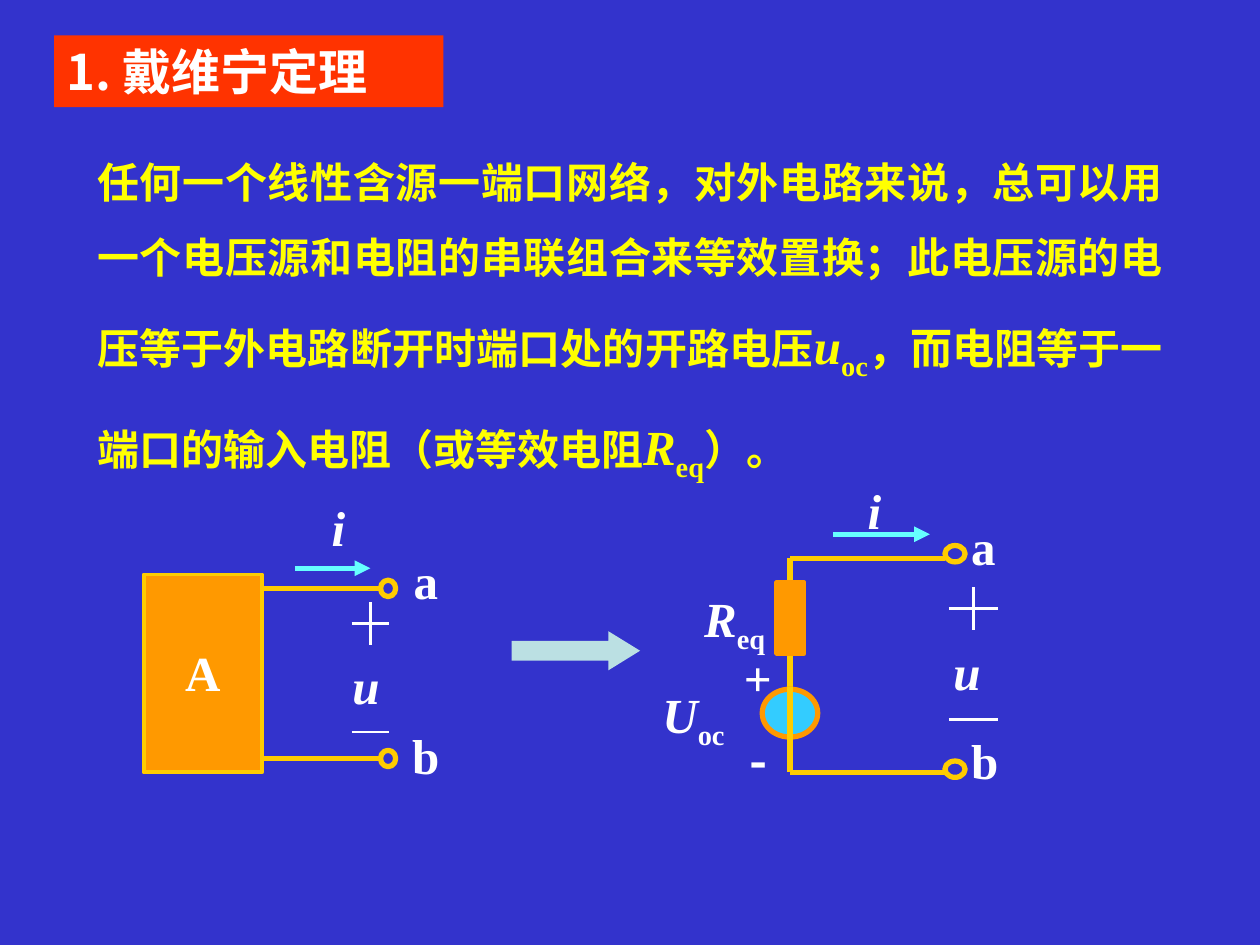
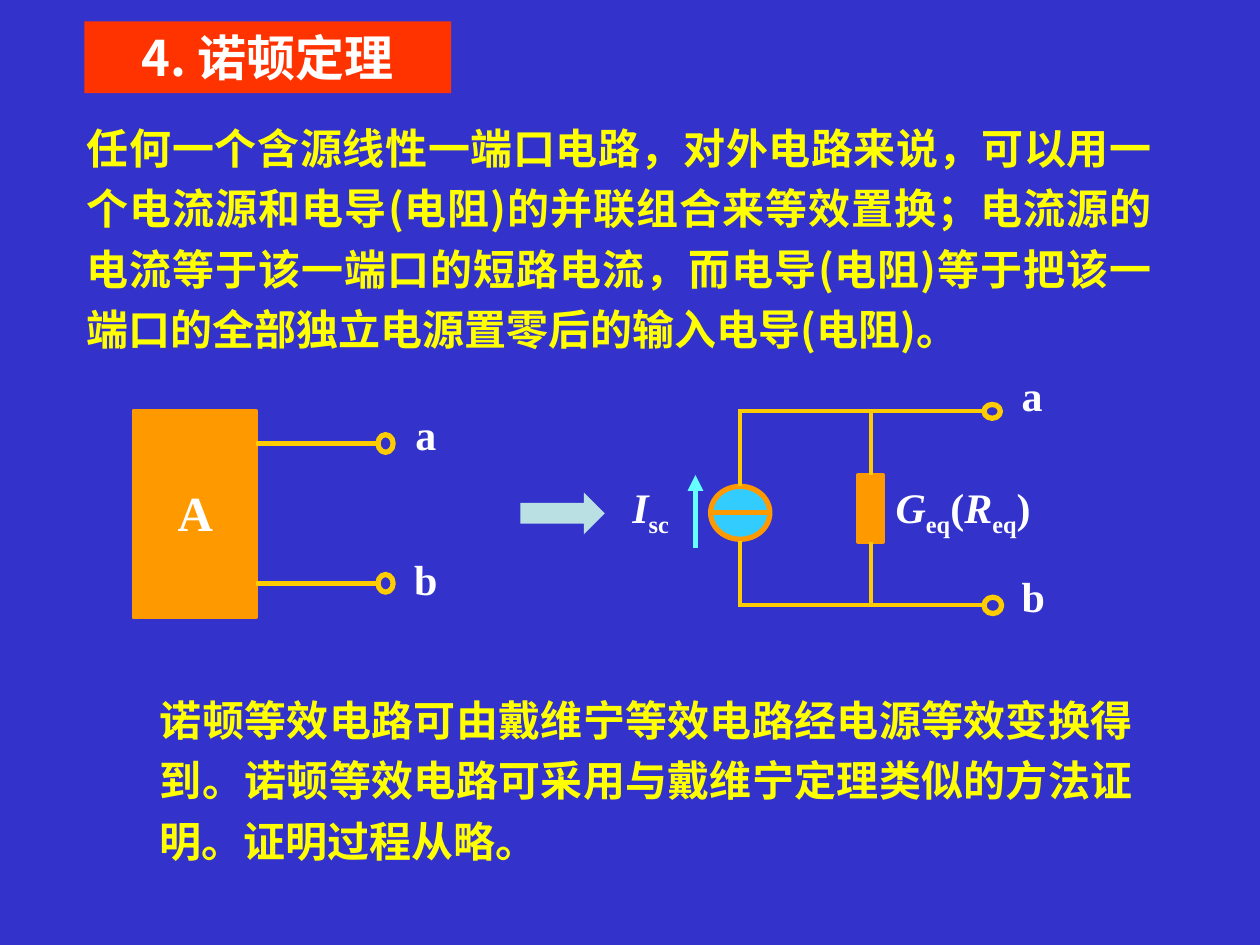
"""Build two slides on the Thevenin and Norton theorems."""
from dataclasses import dataclass

from lxml.etree import SubElement
from pptx import Presentation
from pptx.dml.color import RGBColor
from pptx.enum.shapes import MSO_CONNECTOR, MSO_SHAPE
from pptx.enum.text import MSO_ANCHOR, MSO_AUTO_SIZE, PP_ALIGN
from pptx.oxml.ns import qn
from pptx.shapes.autoshape import Shape
from pptx.slide import Slide
from pptx.util import Inches, Pt

COLORS = {
    "background": "3333CC", "title": "FF3300", "white": "FFFFFF",
    "statement": "FFFF00", "wire": "FFCC00", "element": "FF9900",
    "source": "33CCFF", "current": "66FFFF", "arrow": "BBE0E3",
}
CJK = "Noto Sans CJK SC"
LATIN = "Times New Roman"


@dataclass(frozen=True)
class Box:
    """A rectangle in inches."""
    left: float
    top: float
    width: float
    height: float

    def lengths(self) -> tuple[int, ...]:
        """Return the four sides as slide lengths."""
        return tuple(Inches(v) for v in (self.left, self.top, self.width, self.height))


@dataclass(frozen=True)
class Phrase:
    """One run of text."""
    text: str
    size: float
    font: str = LATIN
    italic: bool = False
    subscript: bool = False


@dataclass(frozen=True)
class Label:
    """A white caption in a circuit diagram."""
    left: float
    top: float
    width: float
    phrases: tuple[Phrase, ...]
    centered: bool = False


@dataclass(frozen=True)
class Wire:
    """A straight line between two points."""
    x1: float
    y1: float
    x2: float
    y2: float
    color: str = "wire"
    weight: float = 3
    arrow: bool = False


@dataclass(frozen=True)
class Element:
    """A preset shape in a circuit diagram."""
    preset: MSO_SHAPE
    box: Box
    fill: str | None = None
    line: str | None = None
    weight: float = 3


def rgb(name: str) -> RGBColor:
    """Look up a palette colour."""
    return RGBColor.from_string(COLORS[name])


def symbol(letter: str, subscript: str, size: float) -> tuple[Phrase, ...]:
    """Make an italic quantity with its subscript."""
    return Phrase(letter, size, italic=True), Phrase(subscript, size, subscript=True)


def write(shape: Shape, phrases: tuple[Phrase, ...], color: str, align: PP_ALIGN,
          anchor: MSO_ANCHOR, spacing: float = 1.0, wrap: bool = True) -> None:
    """Fill a shape with one bold paragraph."""
    frame = shape.text_frame
    frame.auto_size = MSO_AUTO_SIZE.NONE
    frame.word_wrap = wrap
    frame.vertical_anchor = anchor
    paragraph = frame.paragraphs[0]
    paragraph.alignment = align
    paragraph.line_spacing = spacing
    paragraph.space_before = Pt(0)
    properties = paragraph._p.get_or_add_pPr()
    properties.set("marL", "0")
    properties.set("indent", "0")
    SubElement(properties, qn("a:buNone"))
    for phrase in phrases:
        run = paragraph.add_run()
        run.text = phrase.text
        font = run.font
        font.size, font.bold, font.italic = Pt(phrase.size), True, phrase.italic
        font.color.rgb = rgb(color)
        font.name = phrase.font
        run_properties = run._r.get_or_add_rPr()
        if phrase.subscript:
            run_properties.set("baseline", "-25000")
        SubElement(run_properties, qn("a:ea")).set("typeface", CJK)


def place(shape: Shape, box: Box) -> None:
    """Move a placeholder to a box."""
    shape.left, shape.top, shape.width, shape.height = box.lengths()


def add_theorem(prs: Presentation, title: str, title_box: Box, title_align: PP_ALIGN,
                statement: tuple[Phrase, ...], statement_box: Box, spacing: float) -> Slide:
    """Add a slide with a title band and the statement of a theorem."""
    slide = prs.slides.add_slide(prs.slide_layouts[1])
    band, body = slide.placeholders
    place(band, title_box)
    band.fill.solid()
    band.fill.fore_color.rgb = rgb("title")
    write(band, (Phrase(title, 28, CJK),), "white", title_align, MSO_ANCHOR.MIDDLE)
    place(body, statement_box)
    write(body, statement, "statement", PP_ALIGN.JUSTIFY, MSO_ANCHOR.TOP, spacing)
    return slide


def add_label(slide: Slide, label: Label) -> None:
    """Draw a circuit caption."""
    height = round(label.phrases[0].size / 49, 2)
    box = slide.shapes.add_textbox(*Box(label.left, label.top, label.width, height).lengths())
    align = PP_ALIGN.CENTER if label.centered else PP_ALIGN.LEFT
    anchor = MSO_ANCHOR.MIDDLE if label.centered else MSO_ANCHOR.TOP
    write(box, label.phrases, "white", align, anchor, wrap=not label.centered)


def add_wire(slide: Slide, wire: Wire) -> None:
    """Draw a line, with an arrowhead if asked."""
    ends = (Inches(v) for v in (wire.x1, wire.y1, wire.x2, wire.y2))
    connector = slide.shapes.add_connector(MSO_CONNECTOR.STRAIGHT, *ends)
    connector.line.color.rgb = rgb(wire.color)
    connector.line.width = Pt(wire.weight)
    if wire.arrow:
        SubElement(connector.line._get_or_add_ln(), qn("a:tailEnd")).set("type", "triangle")
    SubElement(connector._element.spPr, qn("a:effectLst"))


def add_element(slide: Slide, element: Element) -> Shape:
    """Draw a preset shape."""
    shape = slide.shapes.add_shape(element.preset, *element.box.lengths())
    shape.shadow.inherit = False
    if element.fill:
        shape.fill.solid()
        shape.fill.fore_color.rgb = rgb(element.fill)
    else:
        shape.fill.background()
    if element.line:
        shape.line.color.rgb = rgb(element.line)
        shape.line.width = Pt(element.weight)
    else:
        shape.line.fill.background()
    return shape


def draw(slide: Slide, *items: Element | Wire | Label) -> None:
    """Draw diagram items from back to front."""
    tools = {Element: add_element, Wire: add_wire, Label: add_label}
    for item in items:
        tools[type(item)](slide, item)


def terminal(left: float, top: float, width: float, height: float) -> Element:
    """Make an open terminal ring."""
    return Element(MSO_SHAPE.OVAL, Box(left, top, width, height), line="wire")


def resistor(left: float, top: float, width: float, height: float) -> Element:
    """Make a resistor block."""
    return Element(MSO_SHAPE.RECTANGLE, Box(left, top, width, height), "element", "element", 2.25)


def source(left: float, top: float, width: float, height: float) -> Element:
    """Make the circle of a source."""
    return Element(MSO_SHAPE.OVAL, Box(left, top, width, height), "source", "element")


def add_one_port(slide: Slide, network: Box, outline: str, name_at: tuple[float, float],
                 wire_ys: tuple[float, float], ring: Box, label_tops: tuple[float, float],
                 size: float) -> None:
    """Draw network A with terminals a and b."""
    draw(slide, Element(MSO_SHAPE.RECTANGLE, network, "element", outline, 2.25),
         Label(*name_at, 0.48, (Phrase("A", 28),), True))
    for name, y, top in zip("ab", wire_ys, label_tops):
        draw(slide, Wire(network.left + network.width, y, ring.left, y),
             terminal(ring.left, y - ring.height / 2, ring.width, ring.height),
             Label(3.18, top, 0.4, (Phrase(name, size),), True))


def add_port_voltage(slide: Slide, left: float, right: float, plus_y: float,
                     minus_y: float, label_at: tuple[float, float]) -> None:
    """Draw the voltage u between its plus and minus signs."""
    middle = (left + right) / 2
    draw(slide, Wire(left, plus_y, right, plus_y, "white", 1.5),
         Wire(middle, plus_y - 0.17, middle, plus_y + 0.17, "white", 1.5),
         Wire(left, minus_y, right, minus_y, "white", 1.5),
         Label(*label_at, 0.41, (Phrase("u", 28, italic=True),), True))


def add_equivalence(slide: Slide, box: Box, head: float) -> None:
    """Draw the block arrow between two equivalent circuits."""
    arrow = add_element(slide, Element(MSO_SHAPE.RIGHT_ARROW, box, "arrow"))
    arrow.adjustments[0], arrow.adjustments[1] = 0.5, head


def build_thevenin(prs: Presentation) -> None:
    """Build the Thevenin slide."""
    statement = (
        Phrase("任何一个线性含源一端口网络，对外电路来说，总可以用一个电压源和电阻的串联组合来等效置换；"
               "此电压源的电压等于外电路断开时端口处的开路电压", 24, CJK),
        *symbol("u", "oc", 28),
        Phrase("，而电阻等于一端口的输入电阻（或等效电阻", 24, CJK),
        *symbol("R", "eq", 28),
        Phrase("）。", 24, CJK),
    )
    slide = add_theorem(prs, "1. 戴维宁定理", Box(0.43, 0.28, 3.09, 0.57), PP_ALIGN.LEFT,
                        statement, Box(0.67, 0.99, 8.66, 2.9), 1.5)
    add_equivalence(slide, Box(4.06, 5.01, 1.02, 0.31), 0.81)
    add_one_port(slide, Box(1.14, 4.56, 0.94, 1.57), "wire", (1.37, 5.05), (4.67, 6.02),
                 Box(3.02, 4.6, 0.12, 0.13), (4.32, 5.71), 28)
    current = (Phrase("i", 28, italic=True),)
    draw(slide, Wire(2.34, 4.51, 2.94, 4.51, "current", arrow=True),
         Label(2.53, 3.9, 0.31, current, True))
    add_port_voltage(slide, 2.79, 3.09, 4.95, 5.81, (2.7, 5.15))
    draw(slide,
         Wire(6.61, 4.24, 7.38, 4.24, "current", arrow=True),
         Label(6.72, 3.76, 0.44, current, True),
         Wire(6.27, 4.43, 7.5, 4.43),
         Wire(6.27, 4.43, 6.27, 6.13),
         Wire(6.27, 6.13, 7.5, 6.13),
         Label(7.61, 4.05, 0.78, (Phrase("a", 28),)),
         Label(7.61, 5.75, 0.56, (Phrase("b", 28),)),
         resistor(6.16, 4.62, 0.22, 0.57),
         Label(5.49, 4.62, 0.78, symbol("R", "eq", 28)),
         source(6.05, 5.47, 0.44, 0.38),
         Wire(6.27, 5.45, 6.27, 5.87),
         Label(5.16, 5.38, 1, symbol("U", "oc", 28)),
         terminal(7.5, 4.33, 0.16, 0.13),
         terminal(7.5, 6.04, 0.16, 0.13),
         Label(5.75, 5.09, 0.53, (Phrase("+", 28),), True),
         Label(5.86, 5.75, 0.32, (Phrase("-", 28, CJK),), True))
    add_port_voltage(slide, 7.53, 7.92, 4.83, 5.71, (7.47, 5.04))


def build_norton(prs: Presentation) -> None:
    """Build the Norton slide."""
    statement = Phrase("任何一个含源线性一端口电路，对外电路来说，可以用一个电流源和电导(电阻)的并联组合来等效置换；"
                       "电流源的电流等于该一端口的短路电流，而电导(电阻)等于把该一端口的全部独立电源置零后的"
                       "输入电导(电阻)。", 24, CJK)
    slide = add_theorem(prs, "4. 诺顿定理", Box(0.67, 0.17, 2.91, 0.57), PP_ALIGN.CENTER,
                        (statement,), Box(0.59, 0.84, 8.65, 2.02), 1.2)
    remark = Phrase("诺顿等效电路可由戴维宁等效电路经电源等效变换得到。诺顿等效电路可采用与戴维宁定理类似的方法证明。"
                    "证明过程从略。", 24)
    remark_box = slide.shapes.add_textbox(*Box(1.17, 5.38, 7.92, 1.54).lengths())
    write(remark_box, (remark,), "statement", PP_ALIGN.JUSTIFY, MSO_ANCHOR.MIDDLE, 1.2)
    add_equivalence(slide, Box(4.13, 3.91, 0.67, 0.33), 0.5)
    add_one_port(slide, Box(1.06, 3.26, 0.97, 1.64), "element", (1.31, 3.78), (3.52, 4.63),
                 Box(3, 3.45, 0.12, 0.14), (3.2, 4.35), 24)
    conductance = (*symbol("G", "eq", 24), Phrase("(", 24),
                   *symbol("R", "eq", 24), Phrase(")", 24))
    draw(slide,
         Label(8.01, 2.88, 0.7, (Phrase("a", 24),)),
         Label(8.01, 4.48, 0.5, (Phrase("b", 24),)),
         resistor(6.81, 3.77, 0.2, 0.53),
         Label(7.01, 3.77, 1.49, conductance),
         source(5.64, 3.86, 0.47, 0.42),
         Label(4.92, 3.77, 0.89, symbol("I", "sc", 24)),
         terminal(7.81, 3.21, 0.13, 0.11),
         terminal(7.81, 4.74, 0.14, 0.13))
    for x, upper_end, lower_start in ((5.87, 3.86, 4.29), (6.91, 3.77, 4.3)):
        draw(slide, Wire(x, 3.26, x, upper_end, weight=2.25),
             Wire(x, lower_start, x, 4.81, weight=2.25))
    for y in (3.26, 4.8):
        draw(slide, Wire(5.86, y, 7.81, y, weight=2.25))
    draw(slide, Wire(5.64, 4.07, 6.11, 4.07, "element"),
         Wire(5.52, 4.35, 5.52, 3.77, "current", arrow=True))


def main() -> None:
    """Build and save the presentation."""
    prs = Presentation()
    prs.slide_width, prs.slide_height = Inches(10), Inches(7.5)
    background = prs.slide_master.background.fill
    background.solid()
    background.fore_color.rgb = rgb("background")
    build_thevenin(prs)
    build_norton(prs)
    prs.save("out.pptx")


if __name__ == "__main__":
    main()
